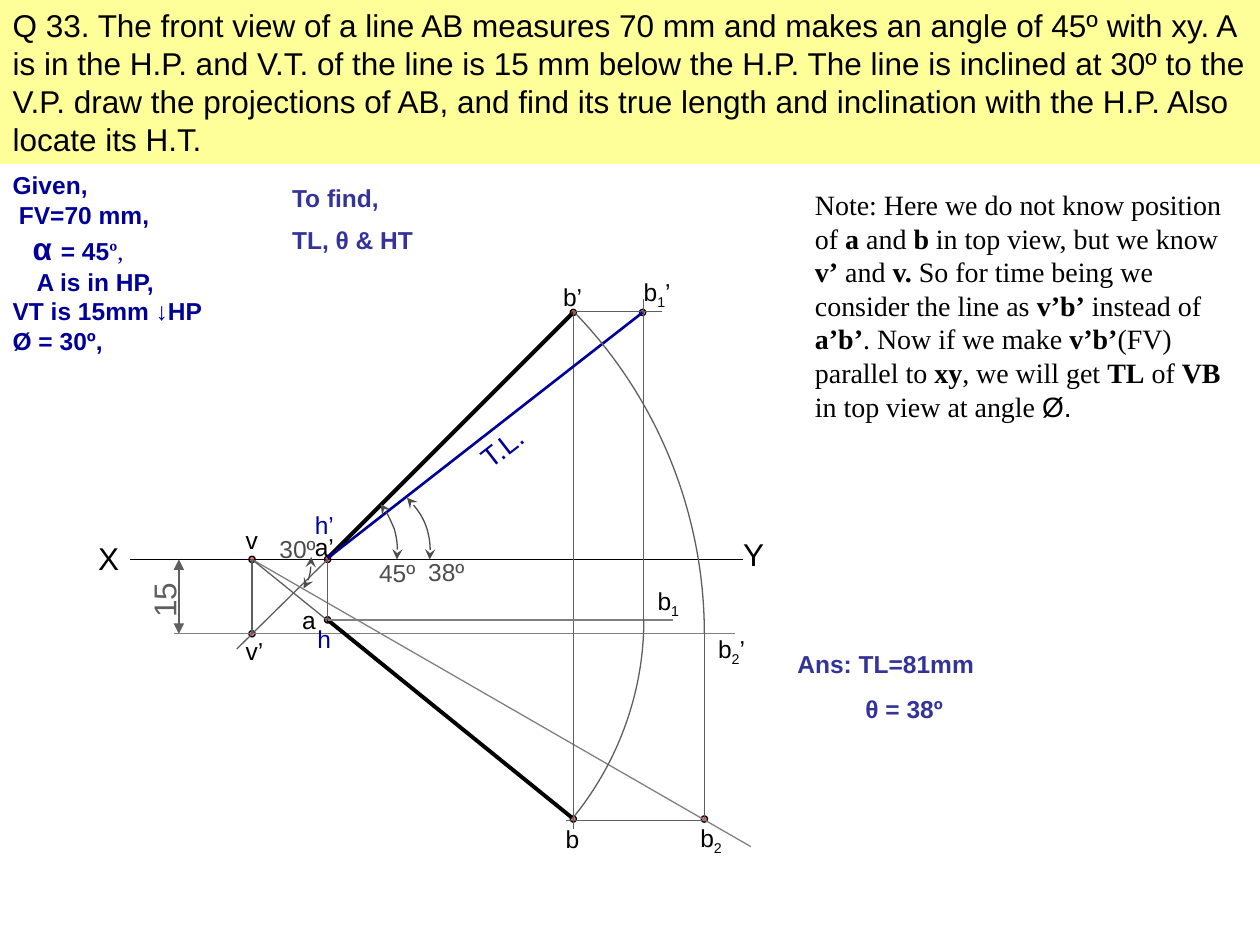
from copy import deepcopy
from dataclasses import dataclass
from math import cos, radians, sin

from lxml import etree
from pptx import Presentation
from pptx import util as u
from pptx.dml import color as col
from pptx.enum import text as tx
from pptx.enum.shapes import MSO_CONNECTOR, MSO_SHAPE
from pptx.oxml import ns


@dataclass(frozen=True)
class Theme:
    """Colours, fonts and sizes of the slide."""
    black: str = "000000"
    band: str = "FFFF99"
    navy: str = "000099"
    blue: str = "333399"
    dark: str = "4D4D4D"
    gray: str = "5F5F5F"
    pale: str = "808080"
    dot: str = "FF0000"
    sans: str = "Arial"
    serif: str = "Times New Roman"
    big: int = 18
    mid: int = 16
    small: int = 14
    thin: float = 0.75
    bold: float = 2.25


T = Theme()

V, V_UP = (2, 4.44), (2, 5.03)
A, A_UP = (2.6, 4.92), (2.6, 4.44)
B, B_UP = (4.55, 6.5), (4.55, 2.48)
B1_UP, B2 = (5.1, 2.48), (5.59, 6.5)

BASE = [
    ((1.03, 4.44), (5.9, 4.44), T.black, T.thin),
    ((2.6, 4.43), B_UP, T.black, T.bold),
]
RAYS = [
    ((1.88, 5.15), A_UP, T.gray, T.thin),
    ((1.42, 4.44), (1.42, 5.03), T.gray, T.thin, "triangle"),
    ((2.09, 5.03), (1.38, 5.03), T.pale, T.thin),
    (V, V_UP, T.gray, T.thin),
    ((5.83, 5.03), (2.01, 5.03), T.pale, T.thin),
    ((5.96, 6.72), V, T.pale, T.thin),
    ((5.59, 5.03), B2, T.gray, T.thin),
    ((5.58, 6.51), (4.49, 6.51), T.gray, T.thin),
    (B_UP, (4.55, 6.58), T.gray, T.thin),
    (V, B, T.gray, T.thin),
    (A_UP, (2.6, 4.93), T.gray, T.thin),
    (A, (4.54, 6.49), T.black, T.bold),
    ((5.34, 4.92), A, T.pale, T.thin),
    ((5.11, 2.37), (5.11, 4.92), T.gray, T.thin),
    ((5.25, 2.47), (4.55, 2.47), T.gray, T.thin),
    ((2.6, 4.43), B1_UP, T.navy, 1.5),
]

ARCS = [
    (V_UP, [(4.56, 2.48), (5.22, 3.16), (5.59, 4.08), (5.59, 5.03)], 0, T.gray, None),
    (A, [(4.54, 6.5), (4.91, 6.05), (5.11, 5.49), (5.11, 4.92)], 0, T.gray, None),
    ((2.66, 4.35), [(3.02, 4), (3.07, 4.06), (3.1, 4.13), (3.13, 4.2),
                    (3.15, 4.28), (3.16, 4.36), (3.15, 4.44)], 162.6, T.dark, "stealth"),
    ((2.92, 4.35), [(3.23, 3.95), (3.3, 4.02), (3.36, 4.11), (3.39, 4.2),
                    (3.41, 4.28), (3.42, 4.36), (3.41, 4.44)], 162.6, T.dark, "stealth"),
    ((1.98, 4.45), [(2.47, 4.42), (2.47, 4.5), (2.46, 4.57), (2.43, 4.65),
                    (2.42, 4.65), (2.42, 4.66), (2.41, 4.67)], 203.4, T.dark, "stealth"),
]

TAGS = [
    ("X", 0.68, 4.23, T.black, T.big, 0),
    ("Y", 5.8, 4.2, T.black, T.big, 0),
    ("15", 1.05, 4.55, T.gray, T.big, 270),
    ("T.L.", 3.69, 3.32, T.navy, T.mid, 322),
    ("45º", 2.91, 4.38, T.dark, T.small, 0),
    ("38º", 3.3, 4.37, T.dark, T.small, 0),
    ("30º", 2.12, 4.19, T.dark, T.small, 0),
    ("b’", 4.37, 2.19, T.black, T.small, 0),
    ("b_1_’", 5.01, 2.15, T.black, T.small, 0),
    ("v", 1.85, 4.12, T.black, T.small, 0),
    ("v’", 1.85, 5, T.black, T.small, 0),
    ("a’", 2.4, 4.17, T.black, T.small, 0),
    ("a", 2.3, 4.75, T.black, T.small, 0),
    ("b", 4.39, 6.49, T.black, T.small, 0),
    ("b_1", 5.12, 4.6, T.black, T.small, 0),
    ("b_2", 5.46, 6.48, T.black, T.small, 0),
    ("b_2_’", 5.6, 4.98, T.black, T.small, 0),
    ("h’", 2.4, 4, T.navy, T.small, 0),
    ("h", 2.42, 4.9, T.navy, T.small, 0),
]
WIDTHS = {"15": 0.5, "T.L.": 0.7, "Y": 0.53, "45º": 0.55, "38º": 0.55, "30º": 0.5}
HEIGHTS = {T.small: 0.33, T.mid: 0.37, T.big: 0.4}

TITLE = ("Q 33. The front view of a line AB measures 70 mm and makes an angle of 45º with xy. "
         "A is in the H.P. and V.T. of the line is 15 mm below the H.P. The line is inclined at "
         "30º to the V.P. draw the projections of AB, and find its true length and inclination "
         "with the H.P. Also locate its H.T.")
GIVEN = [("Given,", 0), ("FV=70 mm,", 0.05), ("α ", 0.16), ("A is in HP,", 0.19),
         ("VT is 15mm ↓HP", 0), ("Ø = 30º,", 0)]
NOTE = ("Note: Here we do not know position of *a* and *b* in top view, but we know *v’* and "
        "*v.* So for time being we consider the line as *v’b’* instead of *a’b’*. Now if we "
        "make *v’b’*(FV) parallel to *xy*, we will get *TL* of *VB* in top view at angle ")


def place(item, left, top, width, height):
    """Move and size an item, in inches."""
    item.left, item.top = u.Inches(left), u.Inches(top)
    item.width, item.height = u.Inches(width), u.Inches(height)


def add_run(para, words):
    """Add a run of words to a paragraph."""
    run = para.add_run()
    run.text = words
    return run


def write(frame, lines, color, size, font=T.sans, bold=False, gap=0):
    """Write lines, with *bold* and _subscript_ marks, into a frame."""
    frame.word_wrap = True
    frame.auto_size = tx.MSO_AUTO_SIZE.NONE
    frame.vertical_anchor = tx.MSO_ANCHOR.TOP
    for row, line in enumerate(lines):
        para = frame.add_paragraph() if row else frame.paragraphs[0]
        para.alignment = tx.PP_ALIGN.LEFT
        para.space_before = u.Pt(gap if row else 0)
        para.font.name, para.font.size, para.font.bold = font, u.Pt(size), bold
        para.font.color.rgb = col.RGBColor.from_string(color)
        for odd, part in enumerate(line.split("*")):
            for low, piece in enumerate(part.split("_")):
                if piece:
                    run = add_run(para, piece)
                    if odd % 2:
                        run.font.bold = True
                    if low % 2:
                        run.font._element.set("baseline", "-25000")


def add_text(slide, box, lines, color, size, **look):
    """Add a text box and return it."""
    item = slide.shapes.add_textbox(*map(u.Inches, box))
    write(item.text_frame, lines, color, size, **look)
    return item


def ink(item, color, width, head=None):
    """Set a line's colour, width and arrowheads."""
    item.line.color.rgb = col.RGBColor.from_string(color)
    item.line.width = u.Pt(width)
    if head:
        for end in ("a:headEnd", "a:tailEnd"):
            etree.SubElement(item.line._get_or_add_ln(), ns.qn(end), type=head)


def add_ray(slide, start, end, color, width, head=None):
    """Add a straight line between two points."""
    ray = slide.shapes.add_connector(MSO_CONNECTOR.STRAIGHT, *map(u.Inches, start + end))
    ink(ray, color, width, head)
    etree.SubElement(ray._element.spPr, ns.qn("a:effectLst"))


def spin(x, y, turn):
    """Turn a vector clockwise by degrees."""
    c, s = cos(radians(turn)), sin(radians(turn))
    return x * c - y * s, x * s + y * c


def bend(arc):
    """Make the outline a curve, with an unstroked sector behind it."""
    sector = arc._element.spPr.find(".//" + ns.qn("a:path"))
    steps = sector.findall(ns.qn("a:lnTo"))[:-1]
    for i in range(0, len(steps), 3):
        curve = etree.Element(ns.qn("a:cubicBezTo"))
        steps[i].addprevious(curve)
        for step in steps[i:i + 3]:
            curve.append(step[0])
            sector.remove(step)
    edge = deepcopy(sector)
    for tail in edge[-2:]:
        edge.remove(tail)
    edge.set("fill", "none")
    sector.set("stroke", "0")
    sector.addprevious(edge)


def add_arc(slide, hub, knots, turn, color, head):
    """Add a curve about a hub, in a frame turned by degrees."""
    flat = [spin(x - hub[0], y - hub[1], -turn) for x, y in knots]
    spots = [(u.Inches(hub[0] + x), u.Inches(hub[1] + y)) for x, y in flat + [(0, 0)]]
    pen = slide.shapes.build_freeform(*spots[0])
    pen.add_line_segments(spots[1:], close=True)
    arc = pen.convert_to_shape()
    bend(arc)
    mid_x, mid_y = arc.left + arc.width / 2, arc.top + arc.height / 2
    x, y = spin(mid_x - u.Inches(hub[0]), mid_y - u.Inches(hub[1]), turn)
    arc.left = int(u.Inches(hub[0]) + x - arc.width / 2)
    arc.top = int(u.Inches(hub[1]) + y - arc.height / 2)
    arc.rotation = turn
    arc.fill.background()
    arc.shadow.inherit = False
    ink(arc, color, T.thin, head)


def add_dot(slide, spot, size=0.05):
    """Add a translucent dot centred on a point."""
    box = (spot[0] - size / 2, spot[1] - size / 2, size, size)
    dot = slide.shapes.add_shape(MSO_SHAPE.OVAL, *map(u.Inches, box))
    dot.shadow.inherit = False
    dot.fill.solid()
    dot.fill.fore_color.rgb = col.RGBColor.from_string(T.dot)
    tint = dot._element.spPr.find(".//" + ns.qn("a:srgbClr"))
    etree.SubElement(tint, ns.qn("a:alpha"), val="56000")
    ink(dot, T.black, T.thin)


def fill_given(body):
    """Write the given data as an indented list."""
    place(body, 0, 1.3, 1.89, 1.56)
    write(body.text_frame, [line for line, _ in GIVEN], T.navy, T.small, bold=True)
    for para, (_, dent) in zip(body.text_frame.paragraphs, GIVEN):
        props = para._p.get_or_add_pPr()
        props.set("marL", str(u.Inches(dent)))
        props.set("indent", "0")
        props.find(ns.qn("a:defRPr")).addprevious(etree.Element(ns.qn("a:buNone")))
    angle = body.text_frame.paragraphs[2]
    angle.runs[0].font.size = u.Pt(T.big)
    add_run(angle, "= 45")
    add_run(angle, "º").font.name = T.serif
    comma = add_run(angle, ",")
    comma.font.name, comma.font.bold = T.serif, False


def main():
    """Build and save the slide."""
    deck = Presentation()
    deck.slide_width, deck.slide_height = u.Inches(10), u.Inches(7.5)
    slide = deck.slides.add_slide(deck.slide_layouts[1])
    title, body = slide.placeholders
    place(title, 0, 0, 10, 1.3)
    title.fill.solid()
    title.fill.fore_color.rgb = col.RGBColor.from_string(T.band)
    write(title.text_frame, [TITLE], T.black, T.big)
    fill_given(body)
    add_text(slide, (2.22, 1.4, 1.54, 0.68), ["To find,", "TL, θ & HT"],
             T.blue, T.small, bold=True, gap=7.5)
    for ray in BASE:
        add_ray(slide, *ray)
    for spot in (V, V_UP, A, A_UP, B, B_UP, B1_UP, B2):
        add_dot(slide, spot)
    for ray in RAYS:
        add_ray(slide, *ray)
    for arc in ARCS:
        add_arc(slide, *arc)
    for words, left, top, color, size, turn in TAGS:
        box = (left, top, WIDTHS.get(words, 0.45), HEIGHTS[size])
        add_text(slide, box, [words], color, size).rotation = turn
    add_text(slide, (6.23, 5.1, 1.89, 0.33), ["Ans: TL=81mm"], T.blue, T.small, bold=True)
    add_text(slide, (6.77, 5.46, 1.55, 0.33), ["θ = 38º"], T.blue, T.small, bold=True)
    note = add_text(slide, (6.37, 1.44, 3.6, 1.97), [NOTE], T.black, T.mid, font=T.serif)
    add_run(note.text_frame.paragraphs[0], "Ø.").font.name = T.sans
    deck.save("out.pptx")


if __name__ == "__main__":
    main()
